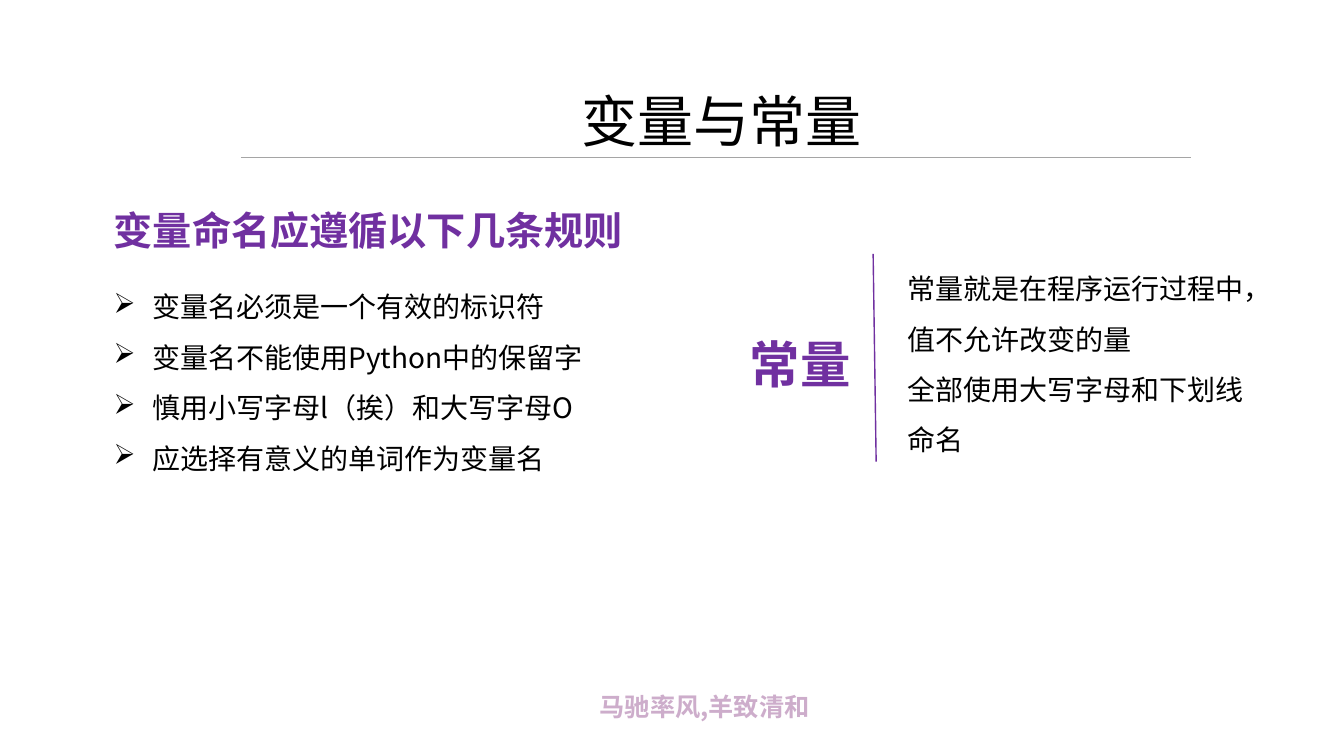
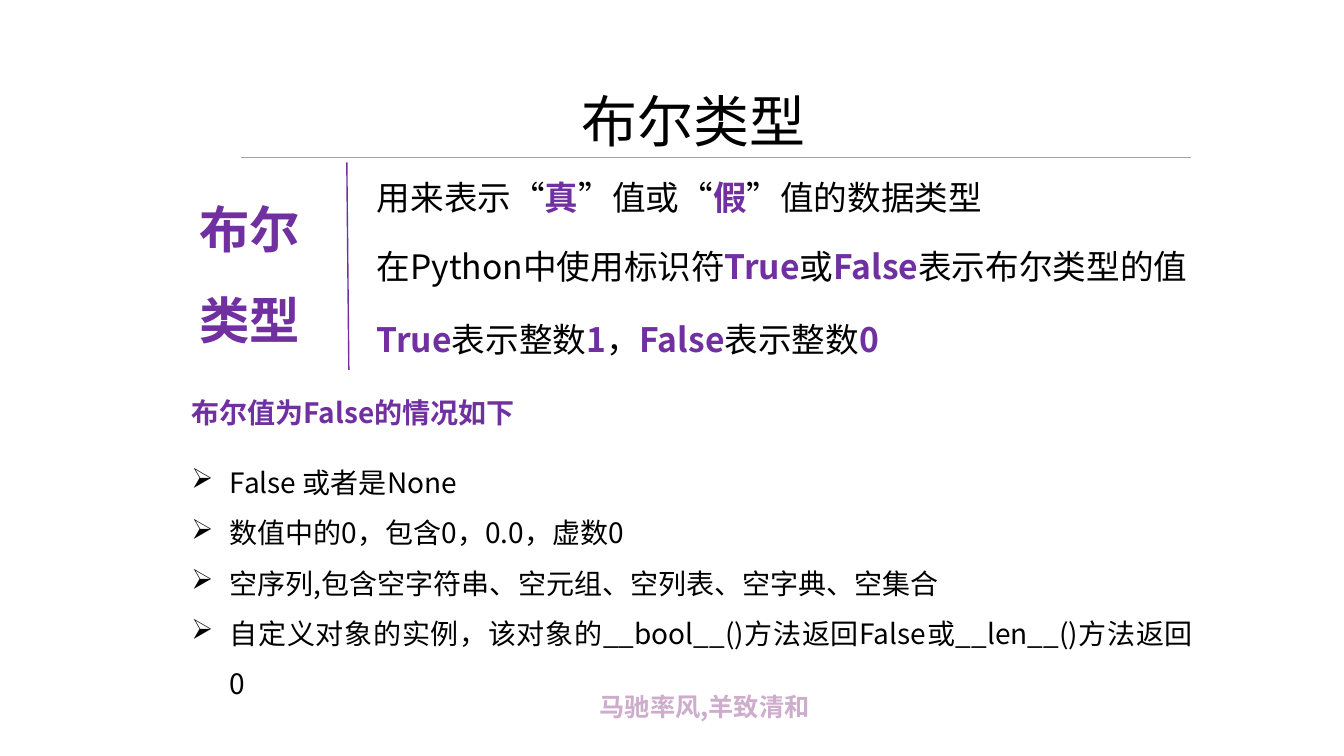
from lxml import etree
from pptx import Presentation
from pptx.dml.color import RGBColor
from pptx.enum import shapes, text
from pptx.oxml import ns
from pptx.util import Inches, Pt

FONT = "Noto Sans CJK SC"
BLACK, PURPLE, LILAC, GREY = "000000", "7030A0", "CDADCB", "A5A5A5"


def add_text(slide, box, paragraphs, size, color=BLACK, bold=False, spacing=None,
             bullet=False, justify=False, wrap=True):
    frame = slide.shapes.add_textbox(*map(Inches, box)).text_frame
    frame.word_wrap = wrap
    frame.auto_size = text.MSO_AUTO_SIZE.SHAPE_TO_FIT_TEXT
    for i, content in enumerate(paragraphs):
        paragraph = frame.paragraphs[0] if i == 0 else frame.add_paragraph()
        if spacing:
            paragraph.line_spacing = spacing
        if justify:
            paragraph.alignment = text.PP_ALIGN.JUSTIFY
        if bullet:
            props = paragraph._p.get_or_add_pPr()
            props.set("marL", str(Inches(0.38)))
            props.set("indent", str(Inches(-0.38)))
            etree.SubElement(props, ns.qn("a:buChar")).set("char", "➢")
        font = paragraph.font
        font.name, font.size, font.bold = FONT, Pt(size), bold
        font.color.rgb = RGBColor.from_string(color)
        etree.SubElement(font._element, ns.qn("a:ea")).set("typeface", FONT)
        for j, part in enumerate(content.split("*")):
            if not part:
                continue
            run = paragraph.add_run()
            run.text = part
            if j % 2:
                run.font.bold = True
                run.font.color.rgb = RGBColor.from_string(PURPLE)


def add_line(slide, start, end, color, width):
    rule = slide.shapes.add_connector(
        shapes.MSO_CONNECTOR.STRAIGHT, *map(Inches, start + end))
    rule.line.color.rgb = RGBColor.from_string(color)
    rule.line.width = Pt(width)
    etree.SubElement(rule._element.spPr, ns.qn("a:effectLst"))


deck = Presentation()
deck.slide_width, deck.slide_height = Inches(13.33), Inches(7.5)

pages = []
for title, title_width in [("变量与常量", 3.01), ("布尔类型", 2.45)]:
    page = deck.slides.add_slide(deck.slide_layouts[6])
    add_text(page, (5.85, 6.81, 2.84, 0.4), ["马驰率风,羊致清和"], 18, LILAC, bold=True)
    add_line(page, (2.39, 1.56), (11.81, 1.56), GREY, 0.5)
    add_text(page, (5.67, 0.81, title_width, 0.77), [title], 40, wrap=False)
    pages.append(page)
variables, booleans = pages

add_text(variables, (1.03, 1.76, 7.45, 0.72), ["变量命名应遵循以下几条规则"], 28, PURPLE,
         bold=True, spacing=1.5)
add_text(variables, (1.03, 2.66, 5.64, 2.06), [
    "变量名必须是一个有效的标识符",
    "变量名不能使用Python中的保留字",
    "慎用小写字母l（挨）和大写字母O",
    "应选择有意义的单词作为变量名",
], 20, spacing=1.5, bullet=True, justify=True)
add_text(variables, (8.9, 2.48, 3.75, 2.06), [
    "常量就是在程序运行过程中，",
    "值不允许改变的量",
    "全部使用大写字母和下划线命名",
], 20, spacing=1.5)
add_text(variables, (7.34, 2.96, 2.27, 0.9), ["常量"], 36, PURPLE, bold=True, spacing=1.5)
add_line(variables, (8.66, 2.52), (8.69, 4.58), PURPLE, 1)

add_text(booleans, (1.88, 1.62, 1.42, 1.81), ["布尔类型"], 36, PURPLE, bold=True, spacing=1.5)
add_line(booleans, (3.44, 1.61), (3.46, 3.67), PURPLE, 1)
for top, width, statement in [
    (1.71, 6.67, "用来表示“*真*”值或“*假*”值的数据类型"),
    (2.39, 8.37, "在Python中使用标识符*True*或*False*表示布尔类型的值"),
    (3.11, 6.67, "*True*表示整数*1*，*False*表示整数*0*"),
]:
    add_text(booleans, (3.64, top, width, 0.5), [statement], 24)
add_text(booleans, (1.8, 3.87, 6.67, 0.44), ["布尔值为False的情况如下"], 20, PURPLE,
         bold=True, justify=True)
add_text(booleans, (1.8, 4.4, 10.13, 2.06), [
    "False 或者是None",
    "数值中的0，包含0，0.0，虚数0",
    "空序列,包含空字符串、空元组、空列表、空字典、空集合",
    "自定义对象的实例，该对象的__bool__()方法返回False或__len__()方法返回0",
], 20, spacing=1.5, bullet=True, justify=True)

deck.save("out.pptx")
